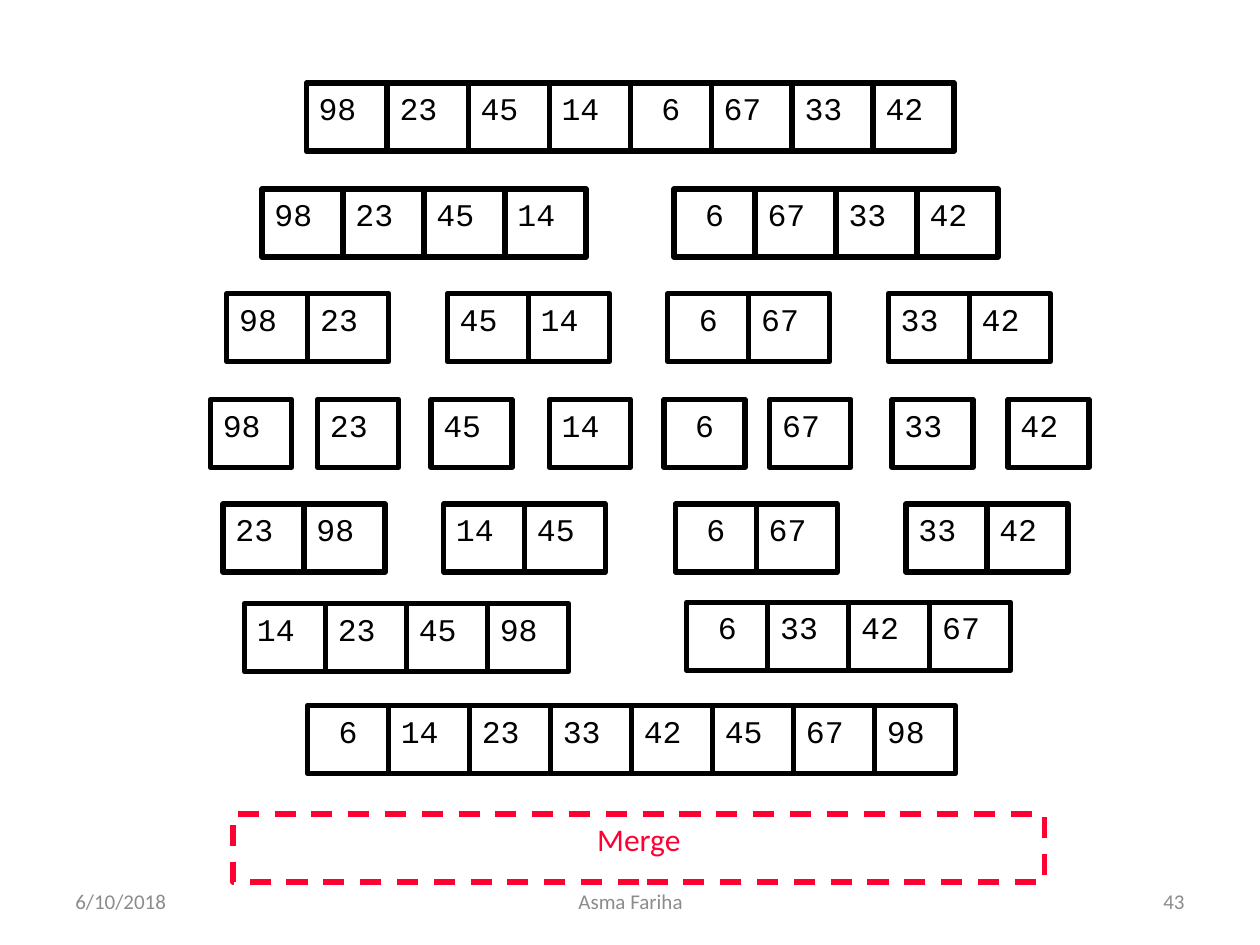
from pptx import Presentation
from pptx.dml.color import RGBColor
from pptx.enum.dml import MSO_LINE
from pptx.enum.shapes import MSO_SHAPE
from pptx.enum.text import MSO_ANCHOR, PP_ALIGN
from pptx.util import Inches, Pt

RECT, DASH = MSO_SHAPE.RECTANGLE, MSO_LINE.DASH
LEFT, CENTER, RIGHT = PP_ALIGN.LEFT, PP_ALIGN.CENTER, PP_ALIGN.RIGHT
TOP, MIDDLE = MSO_ANCHOR.TOP, MSO_ANCHOR.MIDDLE

# Content: each run of adjacent cells is (left, top, values)
RUNS = [
    # Splitting
    (2.43, 0.66, [98, 23, 45, 14, 6, 67, 33, 42]),
    (2.08, 1.5, [98, 23, 45, 14]),
    (5.35, 1.5, [6, 67, 33, 42]),
    (1.8, 2.33, [98, 23]),
    (3.55, 2.33, [45, 14]),
    (5.3, 2.33, [6, 67]),
    (7.05, 2.33, [33, 42]),
    # Single elements
    (1.67, 3.17, [98]),
    (2.52, 3.17, [23]),
    (3.42, 3.17, [45]),
    (4.36, 3.17, [14]),
    (5.27, 3.17, [6]),
    (6.11, 3.17, [67]),
    (7.08, 3.17, [33]),
    (8, 3.17, [42]),
    # Merging
    (1.77, 4, [23, 98]),
    (3.52, 4, [14, 45]),
    (5.36, 4, [6, 67]),
    (7.19, 4, [33, 42]),
    (1.94, 4.79, [14, 23, 45, 98]),
    (5.45, 4.78, [6, 33, 42, 67]),
    (2.44, 5.6, [6, 14, 23, 33, 42, 45, 67, 98]),
]
FOOTERS = [
    ("6/10/2018", 0.5, 2.33, LEFT),
    ("Asma Fariha", 3.42, 3.17, CENTER),
    ("43", 7.17, 2.33, RIGHT),
]
CELL_WIDTH = 4.5 / 7
CELL_HEIGHT = 0.54
BLACK, RED, GREY = "000000", "FF0033", "8C8C8C"


def color(hex_value):
    return RGBColor.from_string(hex_value)


def write(shape, text, align, anchor, **font_format):
    frame = shape.text_frame
    frame.word_wrap = True
    frame.vertical_anchor = anchor
    paragraph = frame.paragraphs[0]
    paragraph.alignment = align
    run = paragraph.add_run()
    run.text = text
    run.font.color.rgb = color(font_format.pop("ink"))
    for attribute, value in font_format.items():
        setattr(run.font, attribute, value)


def add_box(slide, left, top, width, ink):
    box = slide.shapes.add_shape(
        RECT, Inches(left), Inches(top), Inches(width), Inches(CELL_HEIGHT))
    box.shadow.inherit = False
    box.fill.background()
    box.line.color.rgb = color(ink)
    box.line.width = Pt(3)
    return box


def main():
    prs = Presentation()
    prs.slide_width, prs.slide_height = Inches(10), Inches(7.5)
    slide = prs.slides.add_slide(prs.slide_layouts[6])

    # Array cells: single digits are centred
    for left, top, values in RUNS:
        for index, value in enumerate(values):
            cell = add_box(slide, left + index * CELL_WIDTH, top, CELL_WIDTH, BLACK)
            write(cell, str(value), CENTER if value < 10 else LEFT, TOP,
                  ink=BLACK, name="Courier New", size=Pt(18))

    # Current step
    merge = add_box(slide, 1.85, 6.46, 6.44, RED)
    merge.line.dash_style = DASH
    write(merge, "Merge", CENTER, TOP, ink=RED, name="Calibri", size=Pt(18))

    # Footer
    for text, left, width, align in FOOTERS:
        footer = slide.shapes.add_textbox(
            Inches(left), Inches(6.95), Inches(width), Inches(0.4))
        write(footer, text, align, MIDDLE, ink=GREY, name="Calibri", size=Pt(12))

    prs.save("out.pptx")


if __name__ == "__main__":
    main()
